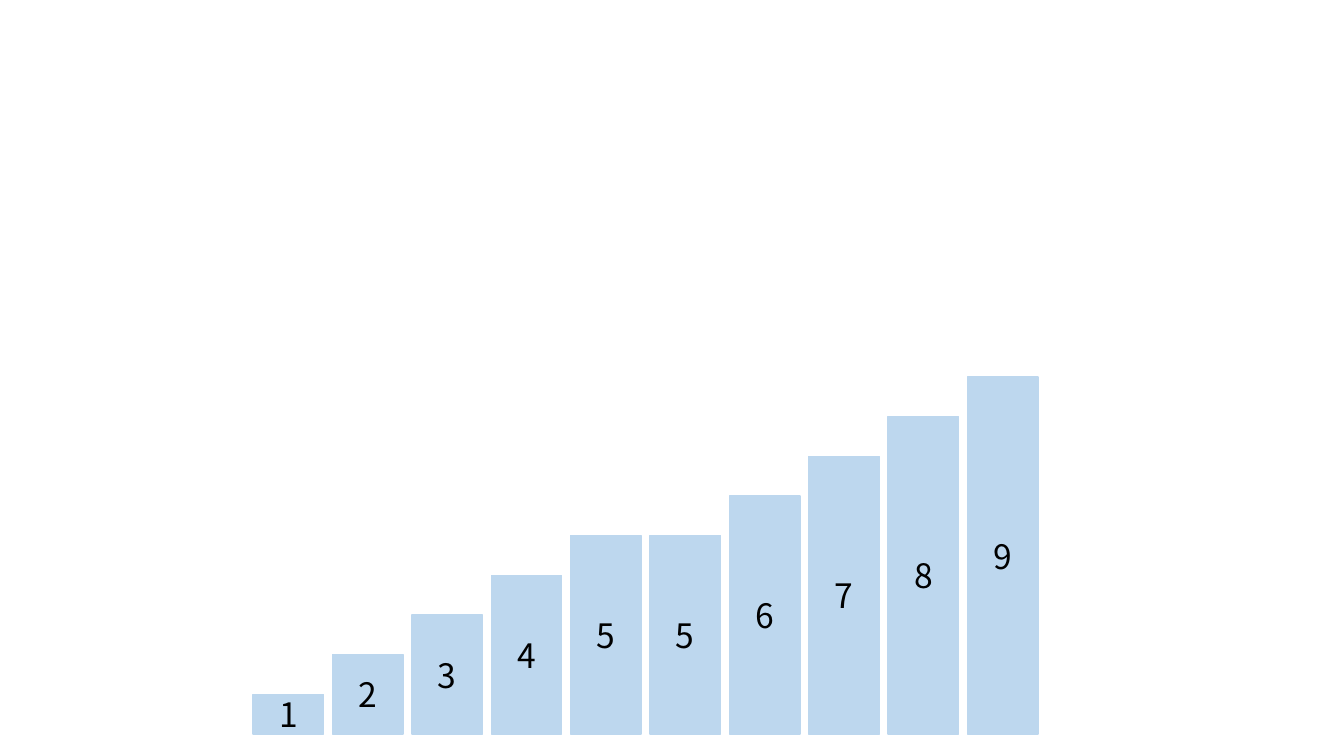
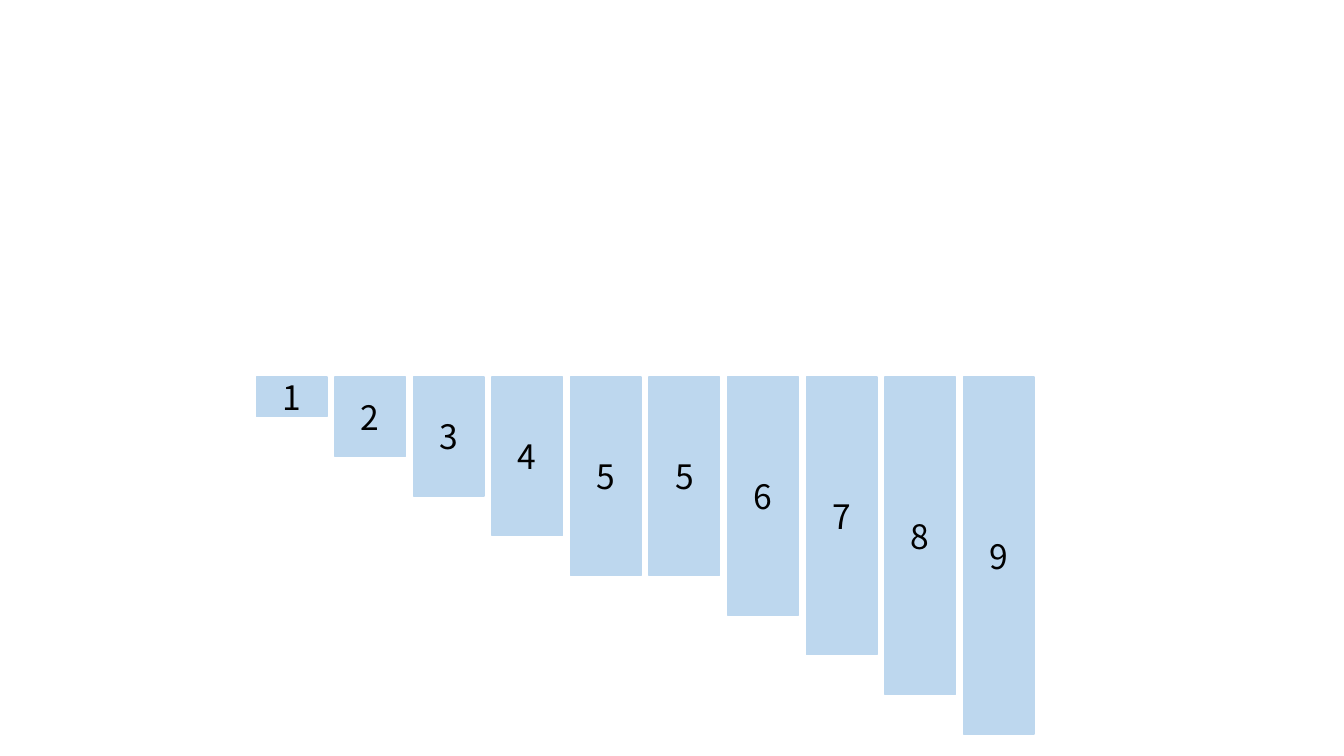
import pptx
import pptx.dml.color
import pptx.enum.shapes
import pptx.enum.text
import pptx.util
from pptx.util import Cm

COLORS = {"bar": "BDD7EE", "text": "000000"}
FONT = "Noto Sans CJK SC"
VALUES = [1, 2, 3, 4, 5, 5, 6, 7, 8, 9]
BAR_WIDTH = 1.78
UNIT_HEIGHT = 1  # bar height in cm for each unit of value
TOP, BOTTOM = 9.5, 18.5

# Left edge, distance between bars, and whether the bars stand or hang
LAYOUTS = [
    {"left": 6.38, "step": 2, "standing": True},
    {"left": 6.46, "step": 1.98, "standing": False},
]


def color(name):
    return pptx.dml.color.RGBColor.from_string(COLORS[name])


def add_bar(slide, left, top, value):
    shape = slide.shapes.add_shape(
        pptx.enum.shapes.MSO_SHAPE.RECTANGLE,
        Cm(left), Cm(top), Cm(BAR_WIDTH), Cm(value * UNIT_HEIGHT))
    shape.shadow.inherit = False
    shape.fill.solid()
    shape.fill.fore_color.rgb = color("bar")
    shape.line.color.rgb = color("bar")
    shape.line.width = pptx.util.Pt(1)

    # Number in the middle of the bar
    text_frame = shape.text_frame
    text_frame.text = str(value)
    text_frame.vertical_anchor = pptx.enum.text.MSO_ANCHOR.MIDDLE
    paragraph = text_frame.paragraphs[0]
    paragraph.alignment = pptx.enum.text.PP_ALIGN.CENTER
    font = paragraph.runs[0].font
    font.name = FONT
    font.size = pptx.util.Pt(24)
    font.color.rgb = color("text")


presentation = pptx.Presentation()
presentation.slide_width = Cm(33.87)
presentation.slide_height = Cm(19.05)

# One slide of bars for each layout
for layout in LAYOUTS:
    slide = presentation.slides.add_slide(presentation.slide_layouts[6])
    for index, value in enumerate(VALUES):
        left = layout["left"] + index * layout["step"]
        top = BOTTOM - value * UNIT_HEIGHT if layout["standing"] else TOP
        add_bar(slide, left, top, value)

presentation.save("out.pptx")
